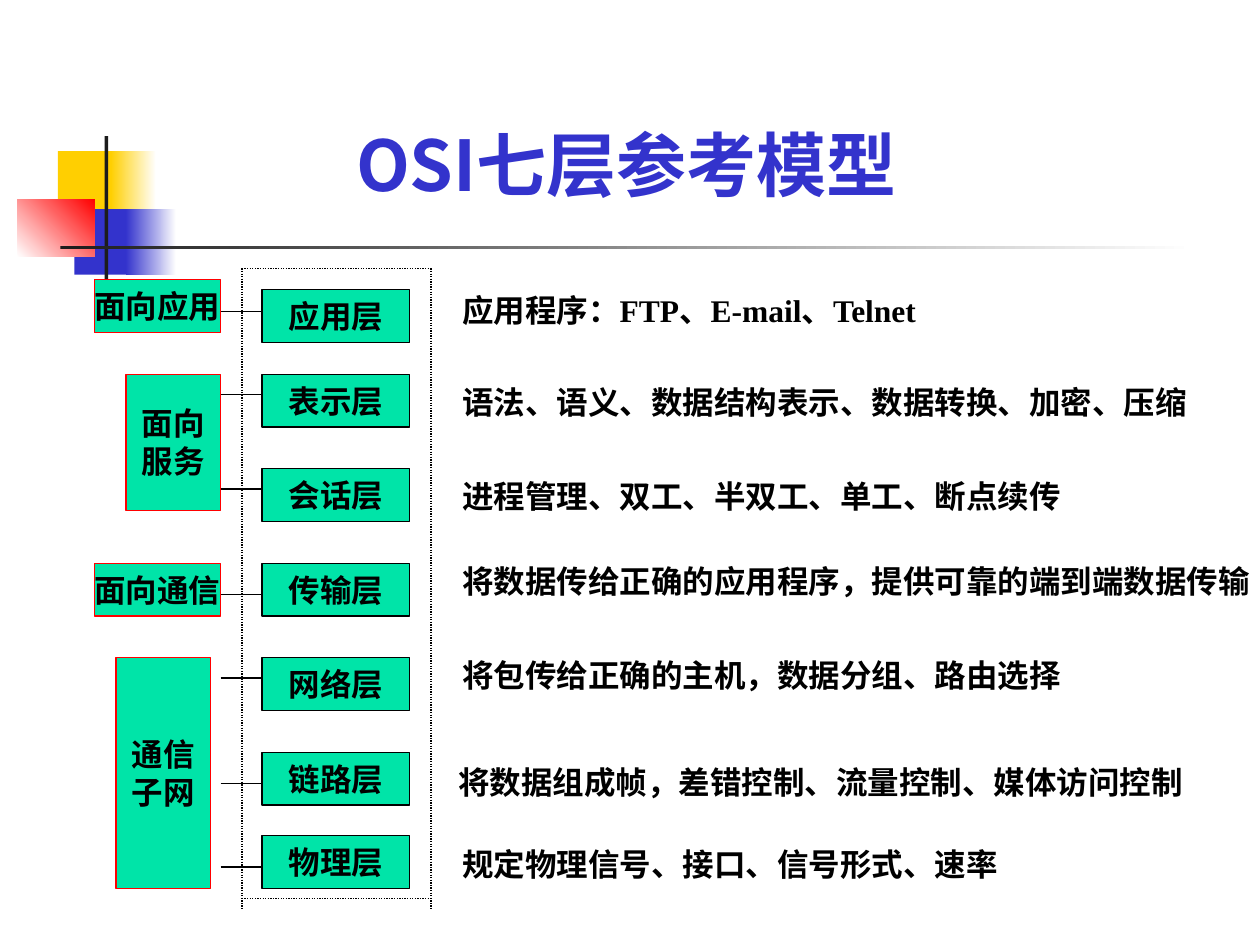
import pptx
import pptx.util
import pptx.dml.color
import pptx.enum.dml
import pptx.enum.shapes
import pptx.enum.text
import pptx.oxml
import pptx.oxml.ns

Inches, Pt = pptx.util.Inches, pptx.util.Pt
RECT = pptx.enum.shapes.MSO_SHAPE.RECTANGLE
STRAIGHT = pptx.enum.shapes.MSO_CONNECTOR.STRAIGHT
DOTTED = pptx.enum.dml.MSO_LINE.ROUND_DOT
ALIGN = pptx.enum.text.PP_ALIGN
MIDDLE = pptx.enum.text.MSO_ANCHOR.MIDDLE
CJK = "Noto Sans CJK SC"

ROW_H = 0.42
# layer name, top of its box, height of its link, top of its description, description
LAYERS = [
    ("应用层", 0.17, 0.34, 0.13, "应用程序：FTP、E-mail、Telnet"),
    ("表示层", 0.84, 1.0, 0.86, "语法、语义、数据结构表示、数据转换、加密、压缩"),
    ("会话层", 1.59, 1.75, 1.61, "进程管理、双工、半双工、单工、断点续传"),
    ("传输层", 2.34, 2.59, 2.28, "将数据传给正确的应用程序，提供可靠的端到端数据传输"),
    ("网络层", 3.09, 3.25, 3.03, "将包传给正确的主机，数据分组、路由选择"),
    ("链路层", 3.84, 4.09, 3.88, "将数据组成帧，差错控制、流量控制、媒体访问控制"),
    ("物理层", 4.5, 4.75, 4.53, "规定物理信号、接口、信号形式、速率"),
]
# lines of the label, left, top, width, height
GROUPS = [
    (["面向应用"], 0, 0.09, 1, ROW_H),
    (["面向", "服务"], 0.25, 0.84, 0.75, 1.08),
    (["面向通信"], 0, 2.34, 1, ROW_H),
    (["通信", "子网"], 0.17, 3.09, 0.75, 1.83),
]


def rgb(value):
    return pptx.dml.color.RGBColor.from_string(value)


def style(p, size, font, color, align):
    p.alignment = align
    p.font.size, p.font.bold, p.font.name = Pt(size), True, font
    p.font.color.rgb = rgb(color)
    latin = p.font._element.find(pptx.oxml.ns.qn("a:latin"))
    ea = pptx.oxml.parse_xml(f'<a:ea {pptx.oxml.ns.nsdecls("a")} typeface="{CJK}"/>')
    latin.addnext(ea)


def add_rect(s, x, y, w, h, fill, line=None):
    sp = s.shapes.add_shape(RECT, Inches(x), Inches(y), Inches(w), Inches(h))
    sp.shadow.inherit = False
    sp.fill.solid()
    sp.fill.fore_color.rgb = rgb(fill)
    if line:
        sp.line.color.rgb = rgb(line)
        sp.line.width = Pt(0.75)
    else:
        sp.line.fill.background()
    return sp


def add_fade(s, x, y, w, h, start, end, angle=0):
    """Rectangle with a two-colour linear gradient."""
    fill = add_rect(s, x, y, w, h, start).fill
    fill.gradient()
    fill.gradient_angle = angle
    for stop, color, position in zip(fill.gradient_stops, (start, end), (0, 1)):
        stop.color.rgb = rgb(color)
        stop.position = position


def add_line(s, x1, y1, x2, y2, dash=None):
    line = s.shapes.add_connector(STRAIGHT, Inches(x1), Inches(y1), Inches(x2), Inches(y2))
    line.line.color.rgb = rgb("000000")
    line.line.width = Pt(0.75)
    if dash:
        line.line.dash_style = dash
    line._element.spPr.append(
        pptx.oxml.parse_xml(f'<a:effectLst {pptx.oxml.ns.nsdecls("a")}/>'))


def add_label_box(s, x, y, w, h, lines, border):
    tf = add_rect(s, x, y, w, h, "00E4A8", border).text_frame
    tf.word_wrap = False
    tf.vertical_anchor = MIDDLE
    for i, text in enumerate(lines):
        p = tf.add_paragraph() if i else tf.paragraphs[0]
        p.text = text
        style(p, 18, "Times New Roman", "000000", ALIGN.CENTER)


def add_ornament(s, x, y):
    """Coloured squares with the crossing bars beside the title."""
    add_rect(s, x + 0.32, y + 0.12, 0.48, 0.52, "FFCF01")
    add_fade(s, x + 0.74, y + 0.12, 0.36, 0.52, "FFCF01", "FFFFFF")
    add_rect(s, x + 0.45, y + 0.58, 0.46, 0.52, "3333CC")
    add_fade(s, x + 0.86, y + 0.58, 0.4, 0.52, "3333CC", "FFFFFF")
    add_fade(s, x, y + 0.5, 0.61, 0.46, "FFFFFF", "FF0000", 45)
    add_rect(s, x + 0.69, y, 0.03, 1.15, "1C1C1C")
    add_fade(s, x + 0.34, y + 0.87, 9, 0.03, "1C1C1C", "FFFFFF")


def add_title(s, x, y, w, h):
    sp = s.shapes.title
    sp.left, sp.top, sp.width, sp.height = (Inches(v) for v in (x, y, w, h))
    tf = sp.text_frame
    tf.text = "OSI七层参考模型"
    tf.vertical_anchor = MIDDLE
    style(tf.paragraphs[0], 40, CJK, "3333CC", ALIGN.CENTER)


def add_layers(s, x, y, w, h):
    """Layer boxes in a dotted frame whose sides run past its foot."""
    inset = 0.16
    for name, top, link, _, _ in LAYERS:
        add_label_box(s, x + inset, y + top, w - 2 * inset - 0.01, ROW_H, [name], "000000")
        add_line(s, x - 0.17, y + link, x + inset, y + link)
    for side in (x, x + w):
        add_line(s, side, y, side, y + h + 0.09, DOTTED)
    for edge in (y, y + h):
        add_line(s, x, edge, x + w, edge, DOTTED)


def add_groups(s, x, y):
    for lines, left, top, w, h in GROUPS:
        add_label_box(s, x + left, y + top, w, h, lines, "FF0000")


def add_descriptions(s, x, y):
    for i, (name, _, _, top, text) in enumerate(LAYERS):
        left = x - 0.03 if name == "链路层" else x
        w = 0.25 * len(text) + 0.24 if i else 3.84
        tf = s.shapes.add_textbox(
            Inches(left), Inches(y + top), Inches(w), Inches(0.4)).text_frame
        tf.word_wrap = i == 0
        p = tf.paragraphs[0]
        p.text = text
        style(p, 18, "Times New Roman", "000000", ALIGN.LEFT)


def main():
    prs = pptx.Presentation()
    prs.slide_width, prs.slide_height = Inches(10), Inches(7.5)
    s = prs.slides.add_slide(prs.slide_layouts[5])
    add_ornament(s, 0.14, 1.08)
    add_title(s, 1.61, 0.91, 6.72, 0.77)
    add_layers(s, 1.92, 2.13, 1.5, 5)
    add_groups(s, 0.75, 2.13)
    add_descriptions(s, 3.57, 2.13)
    prs.save("out.pptx")


if __name__ == "__main__":
    main()
